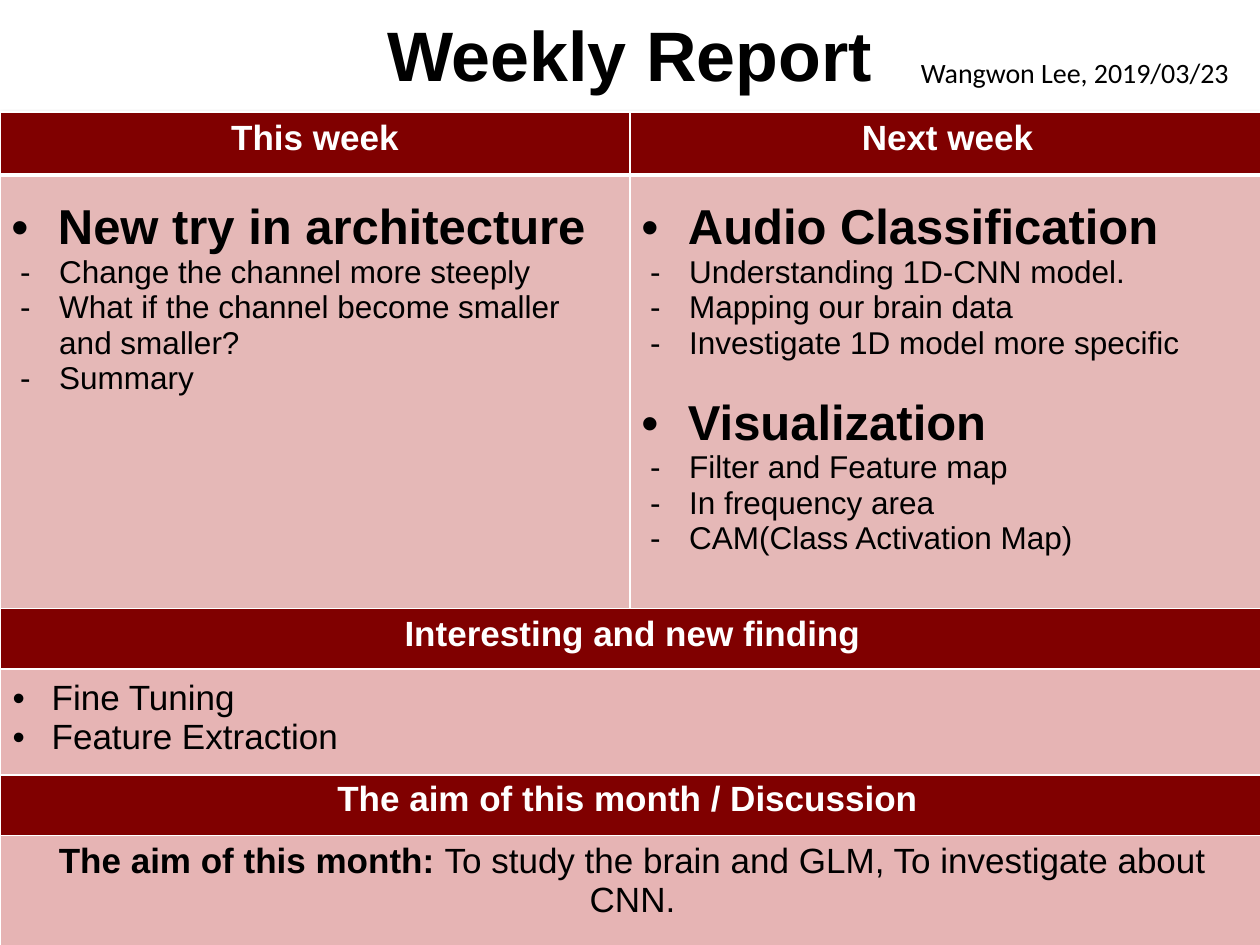
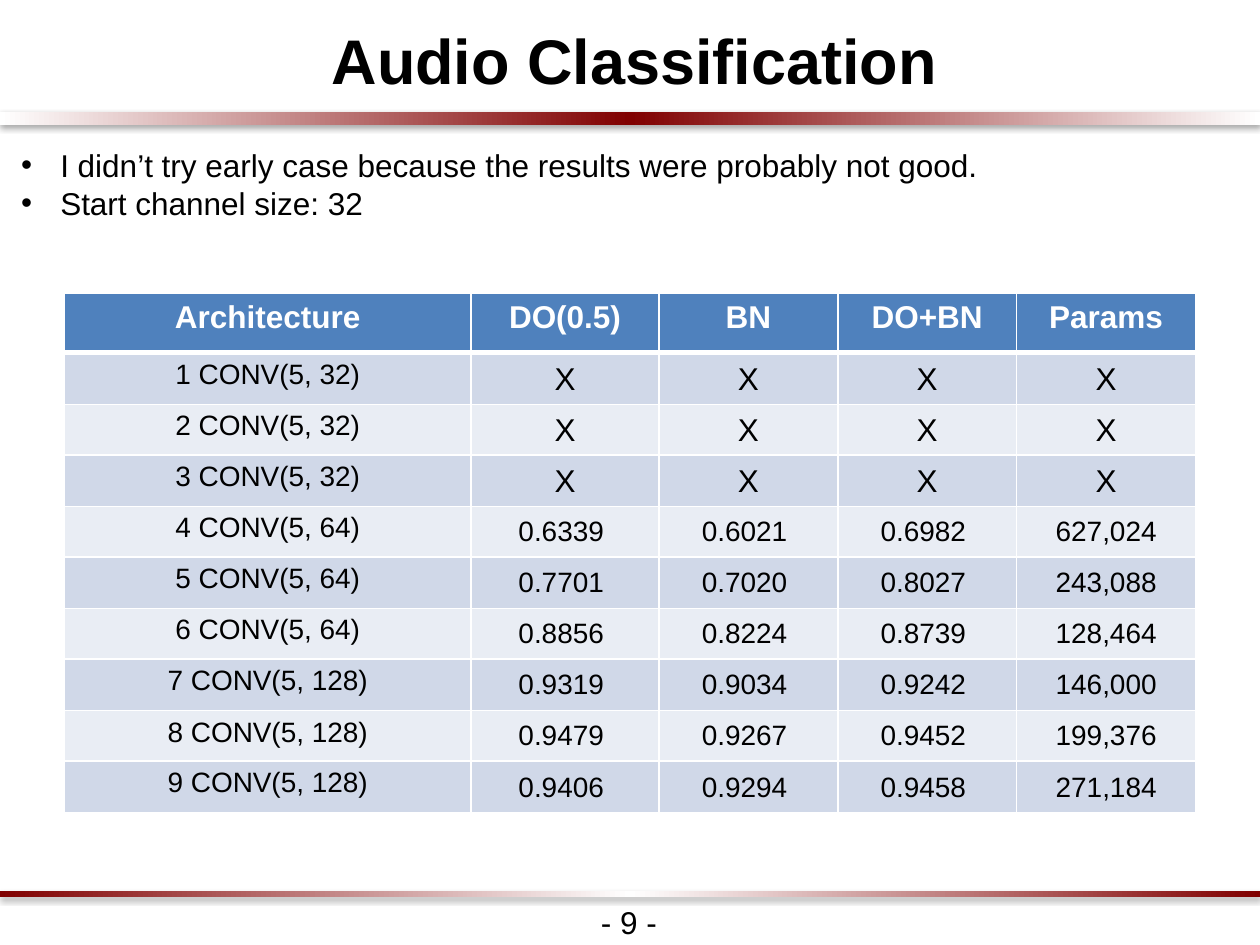
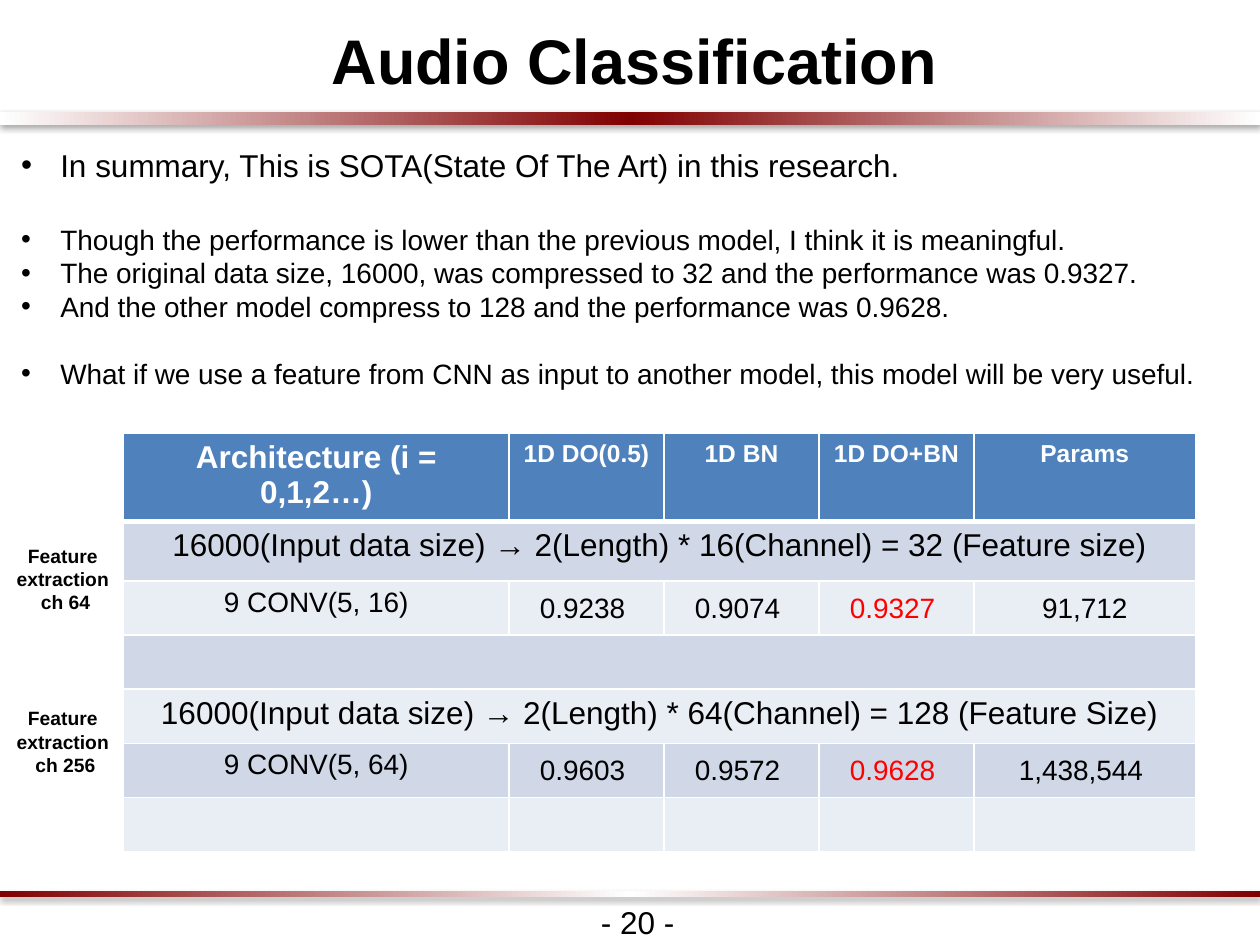
"""Build a weekly report deck with two audio classification result slides."""
from copy import deepcopy
from dataclasses import dataclass

from lxml.etree import SubElement
from pptx import Presentation
from pptx.dml.color import RGBColor
from pptx.enum.shapes import MSO_SHAPE
from pptx.enum.text import MSO_ANCHOR, MSO_AUTO_SIZE, PP_ALIGN
from pptx.oxml.ns import qn
from pptx.util import Emu, Pt

PIXEL = 9144


@dataclass(frozen=True)
class Theme:
    """Hold the colours, fonts and type sizes of the deck."""
    font: str = "Arial"
    byline_font: str = "Calibri"
    black: str = "000000"
    white: str = "FFFFFF"
    maroon: str = "800000"
    rose: str = "E5B8B7"
    pink: str = "E6B4B4"
    blue: str = "4F81BD"
    band_dark: str = "D0D8E8"
    band_light: str = "E9EDF4"
    red: str = "FF0000"
    report_title: int = 40
    title: int = 36
    topic: int = 28
    section: int = 20
    body: int = 18
    detail: int = 16
    column: int = 14
    label: int = 11


THEME = Theme()
VALUE_INSETS = (1, 1, 1, 0)


def px(length):
    """Turn whole pixels into EMU."""
    return Emu(length * PIXEL)


def rgb(color):
    """Turn a hex string into a colour."""
    return RGBColor.from_string(color)


def write(frame, text, size=THEME.body, color=THEME.black, font=THEME.font, bold=False,
          align=PP_ALIGN.LEFT, bullet=None, left=0, hanging=0, before=0, spacing=None, lead=""):
    """Add one formatted paragraph, with an optional bold lead, to a text frame."""
    first = frame.paragraphs[0]
    paragraph = frame.add_paragraph() if first.runs else first
    paragraph.alignment = align
    paragraph.space_before = Pt(before)
    if spacing:
        paragraph.line_spacing = spacing
    properties = paragraph._p.get_or_add_pPr()
    properties.set("marL", str(px(left)))
    properties.set("indent", str(px(-hanging)))
    if bullet:
        bullet_color = SubElement(properties, qn("a:buClr"))
        SubElement(bullet_color, qn("a:srgbClr"), val=color)
        SubElement(properties, qn("a:buFont"), typeface=font)
        SubElement(properties, qn("a:buChar"), char=bullet)
    pieces = [(lead, True)] if lead else []
    pieces += [(line, bold) for line in text.split("\n")]
    for index, (piece, is_bold) in enumerate(pieces):
        if index and not lead:
            paragraph.add_line_break()
        run = paragraph.add_run()
        run.text = piece
        run.font.name = font
        run.font.size = Pt(size)
        run.font.bold = is_bold
        run.font.color.rgb = rgb(color)


def add_text_box(slide, left, top, width, height, insets=(10, 5, 10, 5),
                 anchor=MSO_ANCHOR.TOP, wrap=True):
    """Add an empty text box and return its text frame."""
    frame = slide.shapes.add_textbox(px(left), px(top), px(width), px(height)).text_frame
    frame.word_wrap = wrap
    frame.auto_size = MSO_AUTO_SIZE.NONE if wrap else MSO_AUTO_SIZE.SHAPE_TO_FIT_TEXT
    frame.vertical_anchor = anchor
    set_margins(frame, insets)
    return frame


def set_margins(holder, insets):
    """Set the left, top, right and bottom margins of a frame or cell."""
    (holder.margin_left, holder.margin_top,
     holder.margin_right, holder.margin_bottom) = map(px, insets)


def add_band(slide, top, height, edge, middle):
    """Add a full-width gradient band with a soft shadow."""
    band = slide.shapes.add_shape(MSO_SHAPE.RECTANGLE, 0, px(top), px(1000), px(height))
    band.line.fill.background()
    band.fill.gradient()
    band.fill.gradient_angle = 0
    stop_list = band._element.spPr.find(".//" + qn("a:gsLst"))
    stop_list.append(deepcopy(stop_list[0]))
    for index, color in enumerate((edge, middle, edge)):
        stop = band.fill.gradient_stops[index]
        stop.color.rgb = rgb(color)
        stop.position = index / 2
    band.shadow.inherit = False
    effects = band._element.spPr.find(qn("a:effectLst"))
    shadow = SubElement(effects, qn("a:outerShdw"), blurRad="40000", dist="23000",
                        dir="5400000", rotWithShape="0")
    shadow_color = SubElement(shadow, qn("a:srgbClr"), val=THEME.black)
    SubElement(shadow_color, qn("a:alpha"), val="35000")


def set_borders(cell, top, bottom):
    """Draw white cell borders with the given top and bottom widths."""
    properties = cell._tc.get_or_add_tcPr()
    for side, width in (("L", 1), ("R", 1), ("T", top), ("B", bottom)):
        line = SubElement(properties, qn(f"a:ln{side}"), w=str(Pt(width)))
        fill = SubElement(line, qn("a:solidFill"))
        SubElement(fill, qn("a:srgbClr"), val=THEME.white)


def add_grid(slide, left, top, widths, heights, fills, merged=()):
    """Add a table with one fill per row and a thick line under its header."""
    table = slide.shapes.add_table(len(heights), len(widths), px(left), px(top),
                                   px(sum(widths)), px(sum(heights))).table
    table.first_row = False
    table.horz_banding = False
    for column, width in zip(table.columns, widths):
        column.width = px(width)
    for index, (row, height, color) in enumerate(zip(table.rows, heights, fills)):
        row.height = px(height)
        for cell in row.cells:
            set_borders(cell, 3 if index == 1 else 1, 3 if index == 0 else 1)
            cell.fill.solid()
            cell.fill.fore_color.rgb = rgb(color)
    for index in merged:
        table.cell(index, 0).merge(table.cell(index, len(widths) - 1))
    return table


def fill_cell(cell, text, insets=(10, 5, 10, 5), anchor=MSO_ANCHOR.TOP, **text_format):
    """Write centred text into a table cell."""
    set_margins(cell, insets)
    cell.vertical_anchor = anchor
    write(cell.text_frame, text, align=PP_ALIGN.CENTER, **text_format)


def fill_topics(cell, topics):
    """Write bold topics with dashed points into a table cell."""
    set_margins(cell, (0, 20, 0, 20))
    for index, (topic, points) in enumerate(topics):
        write(cell.text_frame, topic, size=THEME.topic, bold=True, bullet="•",
              left=46, hanging=37, before=20 if index else 0)
        for point in points:
            write(cell.text_frame, point, bullet="-", left=47, hanging=31)


def fill_results(table, row, name, values, highlight=None):
    """Write an architecture name and its results into one table row."""
    fill_cell(table.cell(row, 0), name, size=THEME.detail)
    for column, value in enumerate(values, 1):
        fill_cell(table.cell(row, column), value, insets=VALUE_INSETS, anchor=MSO_ANCHOR.MIDDLE,
                  size=THEME.body if value == "X" else THEME.detail,
                  color=THEME.red if column == highlight else THEME.black)


def fill_header(table, names, size):
    """Write the header row, whose first column keeps the body size."""
    for column, name in enumerate(names):
        fill_cell(table.cell(0, column), name, size=size if column else THEME.body,
                  color=THEME.white, bold=True)


def banded(count):
    """Return the header fill followed by alternating row fills."""
    return [THEME.blue] + [(THEME.band_dark, THEME.band_light)[row % 2] for row in range(count)]


def add_banded_slide(presentation):
    """Add a blank slide with the bands that all slides share."""
    slide = presentation.slides.add_slide(presentation.slide_layouts[6])
    add_band(slide, 89, 10, THEME.white, THEME.maroon)
    add_band(slide, 707, 5, THEME.maroon, THEME.white)
    return slide


def add_content_slide(presentation, title, page):
    """Add a slide with the shared bands, a title and a page number."""
    slide = add_banded_slide(presentation)
    frame = add_text_box(slide, -23, 3, 1045, 79, (10, 10, 10, 10), MSO_ANCHOR.MIDDLE)
    write(frame, title, size=THEME.title, bold=True, align=PP_ALIGN.CENTER, left=8, spacing=1.15)
    write(add_text_box(slide, 467, 712, 65 if page < 10 else 79, 40, wrap=False), f"- {page} -")
    return slide


def add_bullets(slide, width, height, bullets):
    """Add the bullet list below the title band."""
    frame = add_text_box(slide, 7, 111, width, height)
    for text, size, before in bullets:
        write(frame, text, size=size, bullet="•", left=31, hanging=31, before=before)


def build_report(presentation):
    """Add the weekly report overview."""
    slide = add_banded_slide(presentation)
    write(add_text_box(slide, 1, 3, 997, 79, anchor=MSO_ANCHOR.MIDDLE), "Weekly Report",
          size=THEME.report_title, bold=True, align=PP_ALIGN.CENTER)
    write(add_text_box(slide, 721, 39, 282, 40), "Wangwon Lee, 2019/03/23",
          size=THEME.detail, font=THEME.byline_font)
    table = add_grid(slide, 0, 89, (500, 504), (50, 344, 48, 84, 48, 88),
                     (THEME.maroon, THEME.rose, THEME.maroon, THEME.pink,
                      THEME.maroon, THEME.pink), merged=(2, 3, 4, 5))
    headings = (
        (0, 0, "This week", 5), (0, 1, "Next week", 5),
        (2, 0, "Interesting and new finding", 5),
        (4, 0, "The aim of this month / Discussion ", 4),
    )
    for row, column, text, inset in headings:
        fill_cell(table.cell(row, column), text, insets=(10, inset, 10, inset),
                  size=THEME.section, color=THEME.white, bold=True)
    fill_topics(table.cell(1, 0), [
        ("New try in architecture", ("Change the channel more steeply",
                                     "What if the channel become smaller \nand smaller?",
                                     "Summary")),
    ])
    fill_topics(table.cell(1, 1), [
        ("Audio Classification", ("Understanding 1D-CNN model.", "Mapping our brain data",
                                  "Investigate 1D model more specific")),
        ("Visualization", ("Filter and Feature map", "In frequency area",
                           "CAM(Class Activation Map)")),
    ])
    findings = table.cell(3, 0)
    set_margins(findings, (10, 8, 10, 8))
    for finding in ("Fine Tuning", "Feature Extraction"):
        write(findings.text_frame, finding, size=THEME.section, bullet="•", left=31, hanging=31)
    fill_cell(table.cell(5, 0), "To study the brain and GLM, To investigate about CNN.",
              size=THEME.section, lead="The aim of this month: ")


def build_depth_results(presentation):
    """Add the results for one to nine convolution layers."""
    slide = add_content_slide(presentation, "Audio Classification", 9)
    add_bullets(slide, 942, 106, [
        ("I didn’t try early case because the results were probably not good.", THEME.body, 0),
        ("Start channel size: 32", THEME.body, 0),
    ])
    results = (
        (32, ("X",) * 4),
        (32, ("X",) * 4),
        (32, ("X",) * 4),
        (64, ("0.6339 ", "0.6021 ", "0.6982 ", "627,024")),
        (64, ("0.7701 ", "0.7020 ", "0.8027 ", "243,088")),
        (64, ("0.8856 ", "0.8224 ", "0.8739 ", "128,464")),
        (128, ("0.9319 ", "0.9034 ", "0.9242 ", "146,000")),
        (128, ("0.9479 ", "0.9267 ", "0.9452 ", "199,376")),
        (128, ("0.9406 ", "0.9294 ", "0.9458 ", "271,184")),
    )
    heights = [47] + [41 - row % 2 for row in range(len(results))]
    table = add_grid(slide, 51, 233, (323, 149, 142, 142, 142), heights, banded(len(results)))
    fill_header(table, ("Architecture", "DO(0.5)", "BN", "DO+BN", "Params"), THEME.body)
    for row, (channels, values) in enumerate(results, 1):
        fill_results(table, row, f"{row} CONV(5, {channels})", values)


def build_summary(presentation):
    """Add the summary of the compressed feature models."""
    slide = add_content_slide(presentation, "Audio Classification", 20)
    add_bullets(slide, 981, 217, [
        ("In summary, This is SOTA(State Of The Art) in this research.", THEME.body, 0),
        ("Though the performance is lower than the previous model, I think it is meaningful.",
         THEME.detail, 22),
        ("The original data size, 16000, was compressed to 32 and the performance was 0.9327.",
         THEME.detail, 0),
        ("And the other model compress to 128 and the performance was 0.9628.", THEME.detail, 0),
        ("What if we use a feature from CNN as input to another model, "
         "this model will be very useful.", THEME.detail, 19),
    ])
    table = add_grid(slide, 98, 344, (306, 123, 123, 123, 176), [47] * 2 + [43] * 5,
                     banded(6), merged=(1, 3, 4))
    fill_header(table, ("Architecture (i = 0,1,2…)", "1D DO(0.5)", "1D BN", "1D DO+BN", "Params"),
                THEME.column)
    models = (
        (1, "16000(Input data size) → 2(Length) * 16(Channel) = 32 (Feature size)",
         "9 CONV(5, 16)", ("0.9238 ", "0.9074 ", "0.9327 ", "91,712")),
        (4, "16000(Input data size) → 2(Length) * 64(Channel) = 128 (Feature Size)",
         "9 CONV(5, 64)", ("0.9603 ", "0.9572 ", "0.9628 ", "1,438,544 ")),
    )
    for row, formula, name, values in models:
        fill_cell(table.cell(row, 0), formula)
        fill_results(table, row + 1, name, values, highlight=3)
    for top, channels in ((427, 64), (556, 256)):
        frame = add_text_box(slide, 1, top, 102, 66, wrap=False)
        for text in ("Feature ", "extraction ", f"ch {channels}"):
            write(frame, text, size=THEME.label, bold=True, align=PP_ALIGN.CENTER)


def main():
    """Build and save the deck."""
    presentation = Presentation()
    presentation.slide_width = px(1000)
    presentation.slide_height = px(750)
    build_report(presentation)
    build_depth_results(presentation)
    build_summary(presentation)
    presentation.save("out.pptx")


if __name__ == "__main__":
    main()
